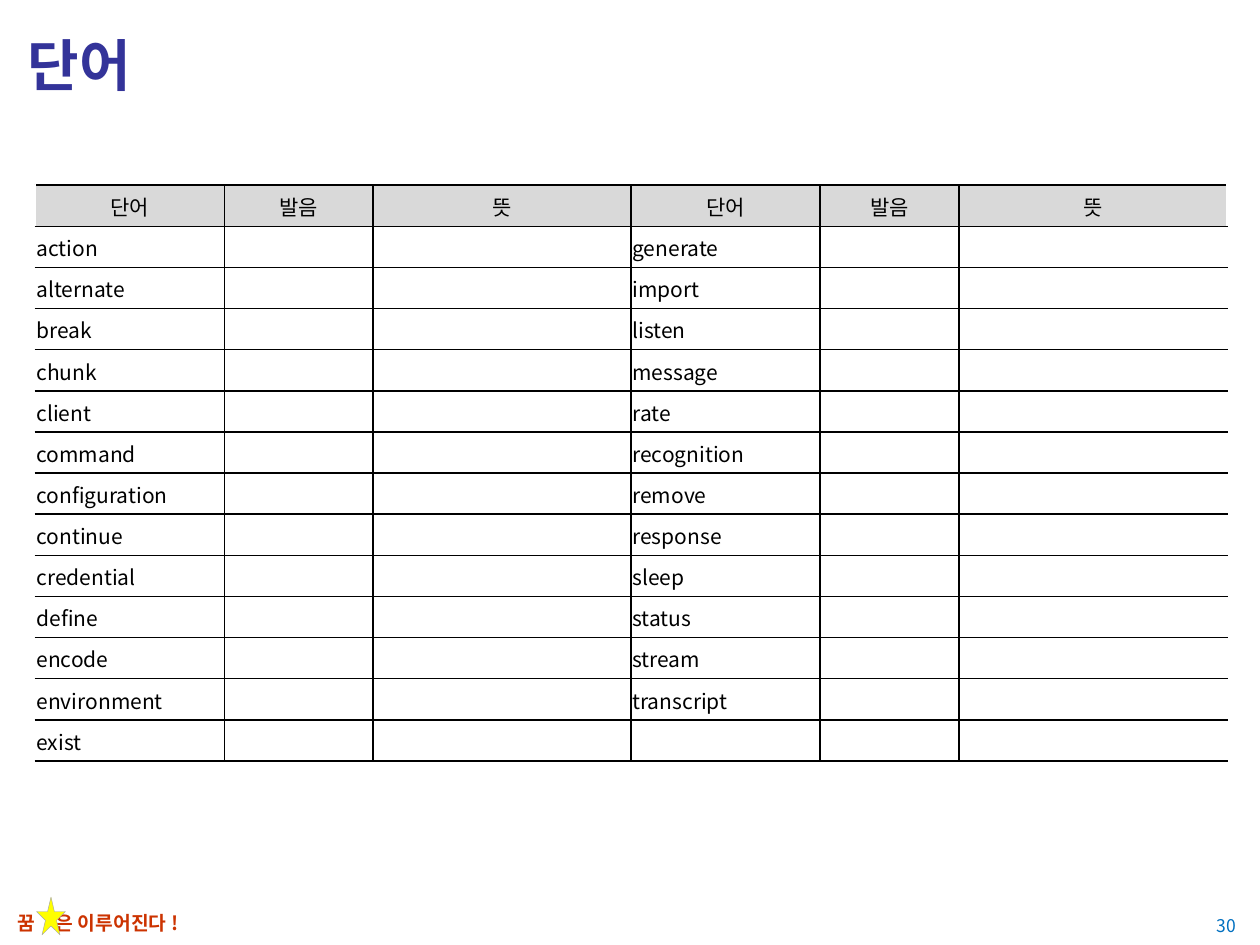
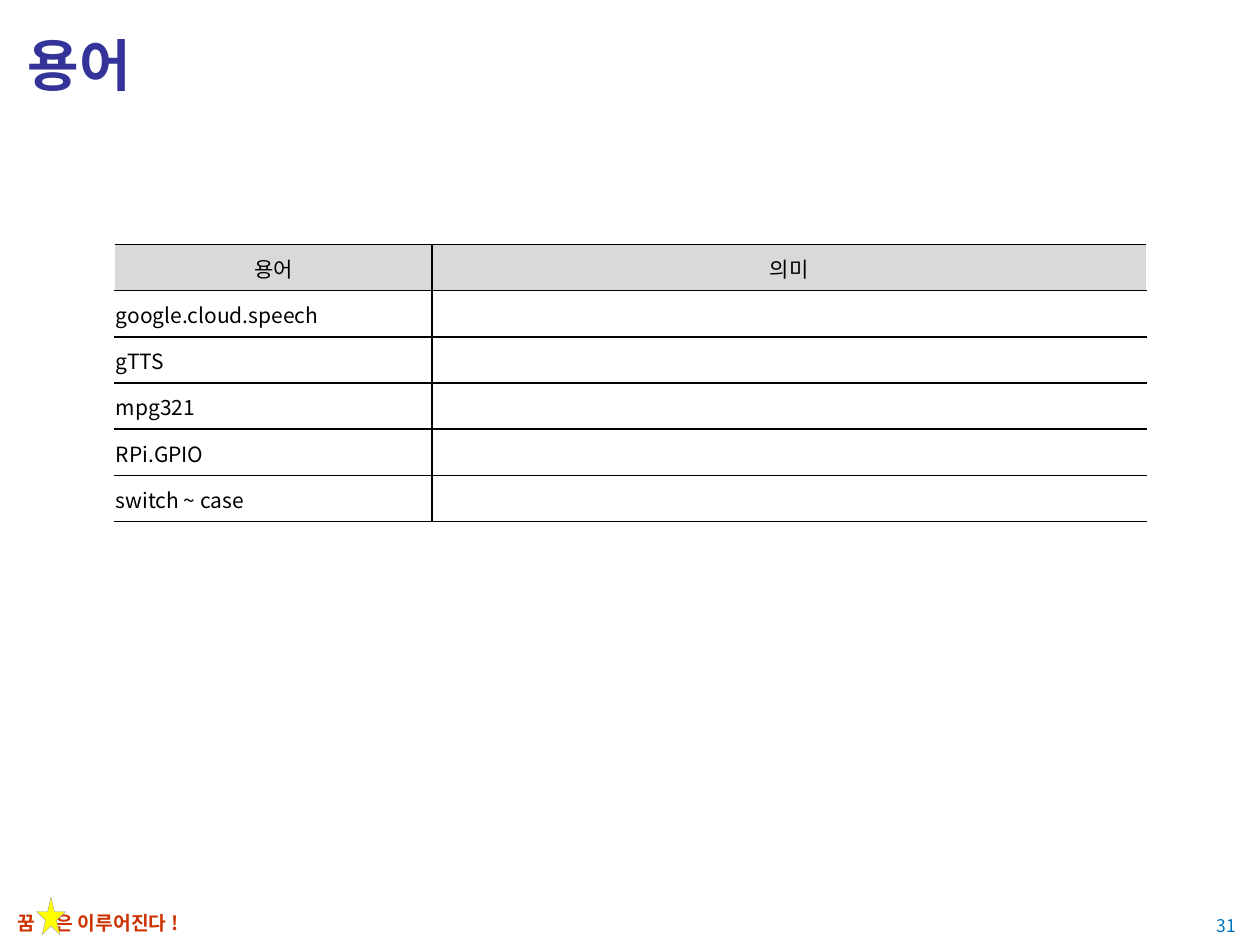
from dataclasses import dataclass
from itertools import zip_longest

from lxml.etree import SubElement
from pptx import Presentation
from pptx.dml.color import RGBColor
from pptx.enum.shapes import MSO_SHAPE as Shape
from pptx.enum.text import MSO_ANCHOR as Anchor, MSO_AUTO_SIZE as AutoSize, PP_ALIGN as Align
from pptx.oxml import parse_xml
from pptx.oxml.ns import nsdecls, qn
from pptx.util import Inches, Pt

COLUMNS, ROWS = 100, 75  # page grid
WIDTH, HEIGHT = Inches(10), Inches(7.5)


# Theme and descriptions
@dataclass(frozen=True)
class TextStyle:
    size: float
    color: str
    bold: bool = False


@dataclass(frozen=True)
class Theme:
    font: str = "Noto Sans CJK KR"
    title: TextStyle = TextStyle(32, "333399", True)
    motto: TextStyle = TextStyle(11, "CC3300", True)
    number: TextStyle = TextStyle(10, "0070C0")
    cell: TextStyle = TextStyle(12, "000000")
    head_fill: str = "D9D9D9"
    body_fill: str = "FFFFFF"
    rule: str = "000000"
    open_side: str = "FFFFFF"
    star_fill: str = "FFFF00"
    star_line: str = "A6A6A6"


@dataclass(frozen=True)
class Area:
    """A place on the page grid."""
    column: float
    row: float
    columns: float
    rows: float

    def lengths(self) -> tuple[int, int, int, int]:
        return across(self.column), down(self.row), across(self.columns), down(self.rows)


@dataclass(frozen=True)
class WordTable:
    title: str
    number: int
    left: float
    top: float
    height: float
    widths: tuple[float, ...]
    rows: list[tuple[str, ...]]


THEME = Theme()
TITLE_AREA = Area(1.2, 1, 97.6, 8.2)
MOTTO_AREA = Area(0.4, 71.8, 52.3, 2.8)
STAR_AREA = Area(2.9, 71.2, 2.3, 3)
NUMBER_AREA = Area(93.3, 71.7, 5.8, 3.5)
MOTTO_TAB = 3.05

# Wording
FIRST_WORDS = ["action", "alternate", "break", "chunk", "client", "command", "configuration",
               "continue", "credential", "define", "encode", "environment", "exist"]
SECOND_WORDS = ["generate", "import", "listen", "message", "rate", "recognition", "remove",
                "response", "sleep", "status", "stream", "transcript"]
TERMS = ["google.cloud.speech", "gTTS", "mpg321", "RPi.GPIO", "switch ~ case"]

PAGES = [
    WordTable("단어", 30, 2.8, 14.7, 45.7, (15, 11.8, 20.5, 15, 11, 21.3),
              [("단어", "발음", "뜻") * 2]
              + [(first, "", "", second, "", "") for first, second
                 in zip_longest(FIRST_WORDS, SECOND_WORDS, fillvalue="")]),
    WordTable("용어", 31, 9.1, 19.4, 22, (25.2, 56.7),
              [("용어", "의미")] + [(term, "") for term in TERMS]),
]


# Helpers
def across(columns: float) -> int:
    return round(WIDTH * columns / COLUMNS)


def down(rows: float) -> int:
    return round(HEIGHT * rows / ROWS)


def set_all(target, values: dict) -> None:
    for name, value in values.items():
        setattr(target, name, value)


def write(para, text: str, style: TextStyle, align=Align.LEFT) -> None:
    para.alignment = align
    if not text:  # keeps an empty cell as low as a filled one
        SubElement(para._p, qn("a:endParaRPr"), sz=str(round(style.size * 100)))
        return
    span = para.add_run()
    span.text = text
    set_all(span.font, {"name": THEME.font, "size": Pt(style.size), "bold": style.bold})
    span.font.color.rgb = RGBColor.from_string(style.color)
    SubElement(span.font._element, qn("a:ea"), typeface=THEME.font)


def format_frame(frame) -> None:
    set_all(frame, {"word_wrap": True, "auto_size": AutoSize.NONE,
                    "vertical_anchor": Anchor.MIDDLE, "margin_top": 0, "margin_bottom": 0})


def add_label(page, area: Area, text: str, style: TextStyle, align=Align.LEFT):
    box = page.shapes.add_textbox(*area.lengths())
    format_frame(box.text_frame)
    para = box.text_frame.paragraphs[0]
    write(para, text, style, align)
    return para


def set_borders(cell, colors: dict[str, str]) -> None:
    properties = cell._tc.get_or_add_tcPr()
    for index, (side, color) in enumerate(colors.items()):
        properties.insert(index, parse_xml(
            f'<a:ln{side} {nsdecls("a")} w="{Pt(1)}"><a:solidFill>'
            f'<a:srgbClr val="{color}"/></a:solidFill></a:ln{side}>'))


# Shared parts
def add_title(page, text: str) -> None:
    title = page.shapes.title
    set_all(title, dict(zip(("left", "top", "width", "height"), TITLE_AREA.lengths())))
    format_frame(title.text_frame)
    write(title.text_frame.paragraphs[0], text, THEME.title)


def add_footer(page, number: int) -> None:
    motto = add_label(page, MOTTO_AREA, "꿈\t은 이루어진다 !", THEME.motto)
    tabs = SubElement(motto._p.get_or_add_pPr(), qn("a:tabLst"))
    SubElement(tabs, qn("a:tab"), pos=str(across(MOTTO_TAB)), algn="l")

    star = page.shapes.add_shape(Shape.STAR_5_POINT, *STAR_AREA.lengths())
    star.shadow.inherit = False
    star.fill.solid()
    star.fill.fore_color.rgb = RGBColor.from_string(THEME.star_fill)
    star.line.color.rgb = RGBColor.from_string(THEME.star_line)
    star.line.width = Pt(0.25)

    add_label(page, NUMBER_AREA, str(number), THEME.number, Align.RIGHT)


# Table with open left and right sides
def add_word_table(page, words: WordTable) -> None:
    area = Area(words.left, words.top, sum(words.widths), words.height)
    table = page.shapes.add_table(len(words.rows), len(words.widths), *area.lengths()).table
    set_all(table, {"first_row": False, "horz_banding": False})
    for column, width in zip(table.columns, words.widths):
        column.width = across(width)
    last = len(words.widths) - 1
    for row_index, texts in enumerate(words.rows):
        table.rows[row_index].height = down(words.height / len(words.rows))
        is_head = row_index == 0
        for column_index, text in enumerate(texts):
            cell = table.cell(row_index, column_index)
            set_all(cell, {"vertical_anchor": Anchor.MIDDLE, "margin_left": Inches(0.01),
                           "margin_right": Inches(0.01), "margin_top": Inches(0.01),
                           "margin_bottom": 0})
            cell.fill.solid()
            cell.fill.fore_color.rgb = RGBColor.from_string(
                THEME.head_fill if is_head else THEME.body_fill)
            set_borders(cell, {
                "L": THEME.open_side if column_index == 0 else THEME.rule,
                "R": THEME.open_side if column_index == last else THEME.rule,
                "T": THEME.rule,
                "B": THEME.rule})
            write(cell.text_frame.paragraphs[0], text, THEME.cell,
                  Align.CENTER if is_head else Align.LEFT)


def main() -> None:
    deck = Presentation()
    set_all(deck, {"slide_width": WIDTH, "slide_height": HEIGHT})
    title_only = deck.slide_layouts.get_by_name("Title Only")
    for words in PAGES:
        page = deck.slides.add_slide(title_only)
        add_title(page, words.title)
        add_footer(page, words.number)
        add_word_table(page, words)
    deck.save("out.pptx")


if __name__ == "__main__":
    main()
